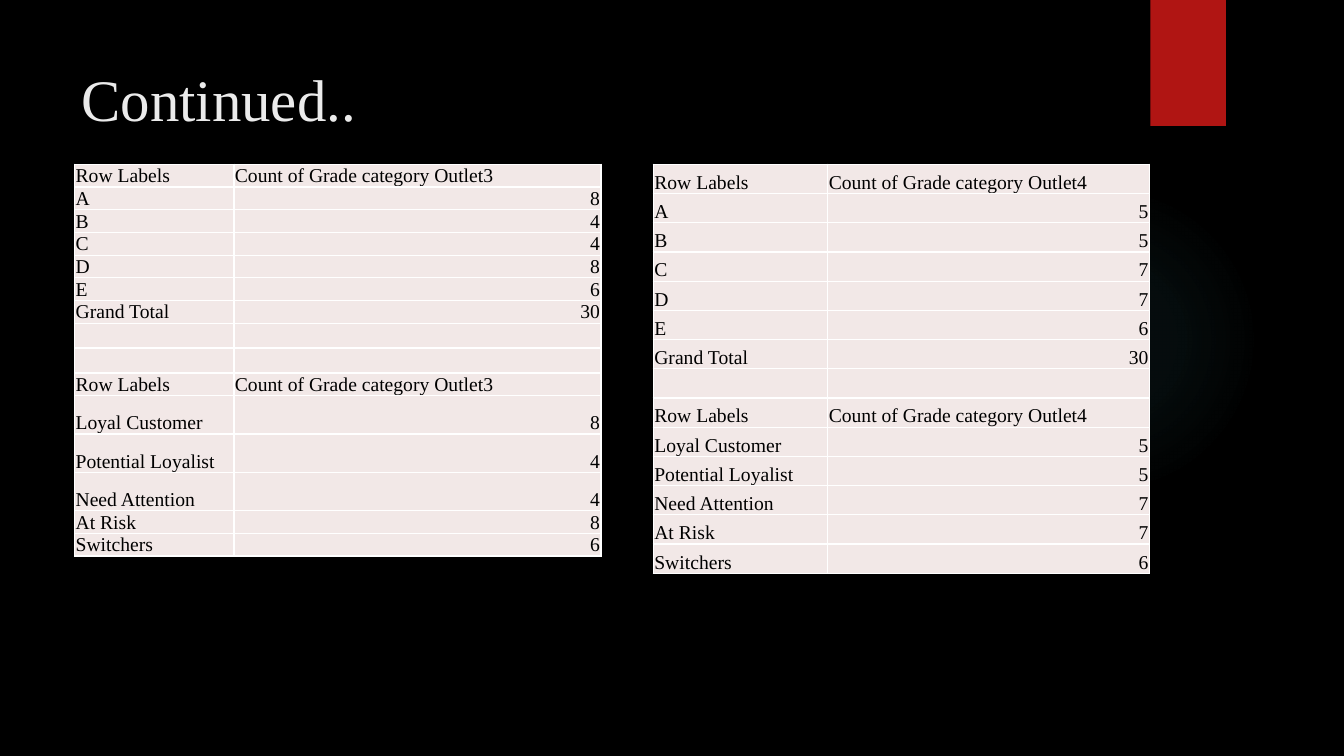
from lxml.etree import SubElement
from pptx import Presentation
from pptx.dml.color import RGBColor
from pptx.enum.shapes import MSO_SHAPE
from pptx.enum.text import MSO_ANCHOR, PP_ALIGN
from pptx.oxml import parse_xml
from pptx.oxml.ns import nsdecls, qn
from pptx.util import Inches, Pt

# Content
TITLE = "Continued.."
GRADES = ["A", "B", "C", "D", "E"]
SEGMENTS = ["Loyal Customer", "Potential Loyalist", "Need Attention",
            "At Risk", "Switchers"]
TALL_SEGMENTS = SEGMENTS[:3]
OUTLETS = [
    {"heading": "Count of Grade category Outlet3", "counts": [8, 4, 4, 8, 6],
     "gap_rows": 2, "left": 0.74, "columns": [1.58, 3.64],
     "row_height": 0.22, "tall_height": 0.38},
    {"heading": "Count of Grade category Outlet4", "counts": [5, 5, 7, 7, 6],
     "gap_rows": 1, "left": 6.48, "columns": [1.73, 3.19],
     "row_height": 0.29, "tall_height": 0.29},
]
TABLE_TOP = 1.63
FONT = "Times New Roman"
GLOW_STOPS = [(0, 7), (36, 6), (69, 0)]  # position and opacity in percent
CELL_FORMAT = {"margin_left": Inches(0.01), "margin_right": Inches(0.01),
               "margin_top": Inches(0.01), "margin_bottom": 0,
               "vertical_anchor": MSO_ANCHOR.BOTTOM}
TITLE_FORMAT = {"left": Inches(0.71), "top": Inches(0.5),
                "width": Inches(10.29), "height": Inches(1.53)}
TITLE_FRAME = {"margin_left": Inches(0.1), "margin_top": Inches(0.12),
               "vertical_anchor": MSO_ANCHOR.TOP, "word_wrap": True}


def color(hex_string):
    return RGBColor.from_string(hex_string)


def apply(target, values):
    for name, value in values.items():
        setattr(target, name, value)


def style_font(font, size, hex_string):
    apply(font, {"name": FONT, "size": Pt(size), "bold": False})
    font.color.rgb = color(hex_string)


def add_plain_shape(page, kind, left, top, width, height):
    shape = page.shapes.add_shape(kind, *map(Inches, (left, top, width, height)))
    shape.shadow.inherit = False
    shape.line.fill.background()
    return shape


def add_glow(page):
    glow = add_plain_shape(page, MSO_SHAPE.OVAL, 9.41, 1.83, 3.08, 3.08)
    stops = "".join(
        f'<a:gs pos="{position * 1000}"><a:srgbClr val="50B9C1">'
        f'<a:alpha val="{opacity * 1000}"/></a:srgbClr></a:gs>'
        for position, opacity in GLOW_STOPS)
    gradient = parse_xml(
        f'<a:gradFill {nsdecls("a")} rotWithShape="1"><a:gsLst>{stops}</a:gsLst>'
        '<a:path path="circle"><a:fillToRect l="50000" t="50000" r="50000" '
        'b="50000"/></a:path></a:gradFill>')
    glow.element.spPr.find(qn("a:prstGeom")).addnext(gradient)


def style_cell(cell, text, align):
    apply(cell, CELL_FORMAT)
    properties = cell._tc.get_or_add_tcPr()
    for side in ("lnL", "lnR", "lnT", "lnB"):
        border = SubElement(properties, qn(f"a:{side}"), w=str(Pt(1)))
        fill = SubElement(border, qn("a:solidFill"))
        SubElement(fill, qn("a:srgbClr"), val="FFFFFF")
    cell.fill.solid()
    cell.fill.fore_color.rgb = color("F2E8E7")
    para = cell.text_frame.paragraphs[0]
    para.alignment = align
    if text:
        span = para.add_run()
        span.text = text
        style_font(span.font, 14, "000000")
    else:
        # Empty cells keep the text size, so rows stay low
        SubElement(para._p, qn("a:endParaRPr"), sz="1400")


def add_outlet_table(page, outlet):
    header = ("Row Labels", outlet["heading"])
    counts = outlet["counts"]
    rows = [header, *zip(GRADES, counts), ("Grand Total", sum(counts)),
            *[("", "")] * outlet["gap_rows"], header, *zip(SEGMENTS, counts)]
    heights = [outlet["tall_height" if label in TALL_SEGMENTS else "row_height"]
               for label, _ in rows]
    box = page.shapes.add_table(
        len(rows), 2, Inches(outlet["left"]), Inches(TABLE_TOP),
        Inches(sum(outlet["columns"])), Inches(sum(heights)))
    table = box.table
    apply(table, {"first_row": False, "horz_banding": False})
    for column, width in zip(table.columns, outlet["columns"]):
        column.width = Inches(width)
    for row, height, values in zip(table.rows, heights, rows):
        row.height = Inches(height)
        for cell, value in zip(row.cells, values):
            align = PP_ALIGN.RIGHT if isinstance(value, int) else PP_ALIGN.LEFT
            style_cell(cell, str(value), align)


def main():
    deck = Presentation()
    apply(deck, {"slide_width": Inches(13.33), "slide_height": Inches(7.5)})
    page = deck.slides.add_slide(deck.slide_layouts[5])
    page.background.fill.solid()
    page.background.fill.fore_color.rgb = color("000000")

    # Decoration
    add_glow(page)
    bar = add_plain_shape(page, MSO_SHAPE.RECTANGLE, 11.41, 0, 0.75, 1.25)
    bar.fill.solid()
    bar.fill.fore_color.rgb = color("B01513")

    # Title, in front of the decoration
    title = page.shapes.title
    bar.element.addnext(title.element)
    apply(title, TITLE_FORMAT)
    apply(title.text_frame, TITLE_FRAME)
    para = title.text_frame.paragraphs[0]
    para.alignment = PP_ALIGN.LEFT
    span = para.add_run()
    span.text = TITLE
    style_font(span.font, 42, "EBEBEB")

    # Tables
    for outlet in OUTLETS:
        add_outlet_table(page, outlet)

    deck.save("out.pptx")


if __name__ == "__main__":
    main()
